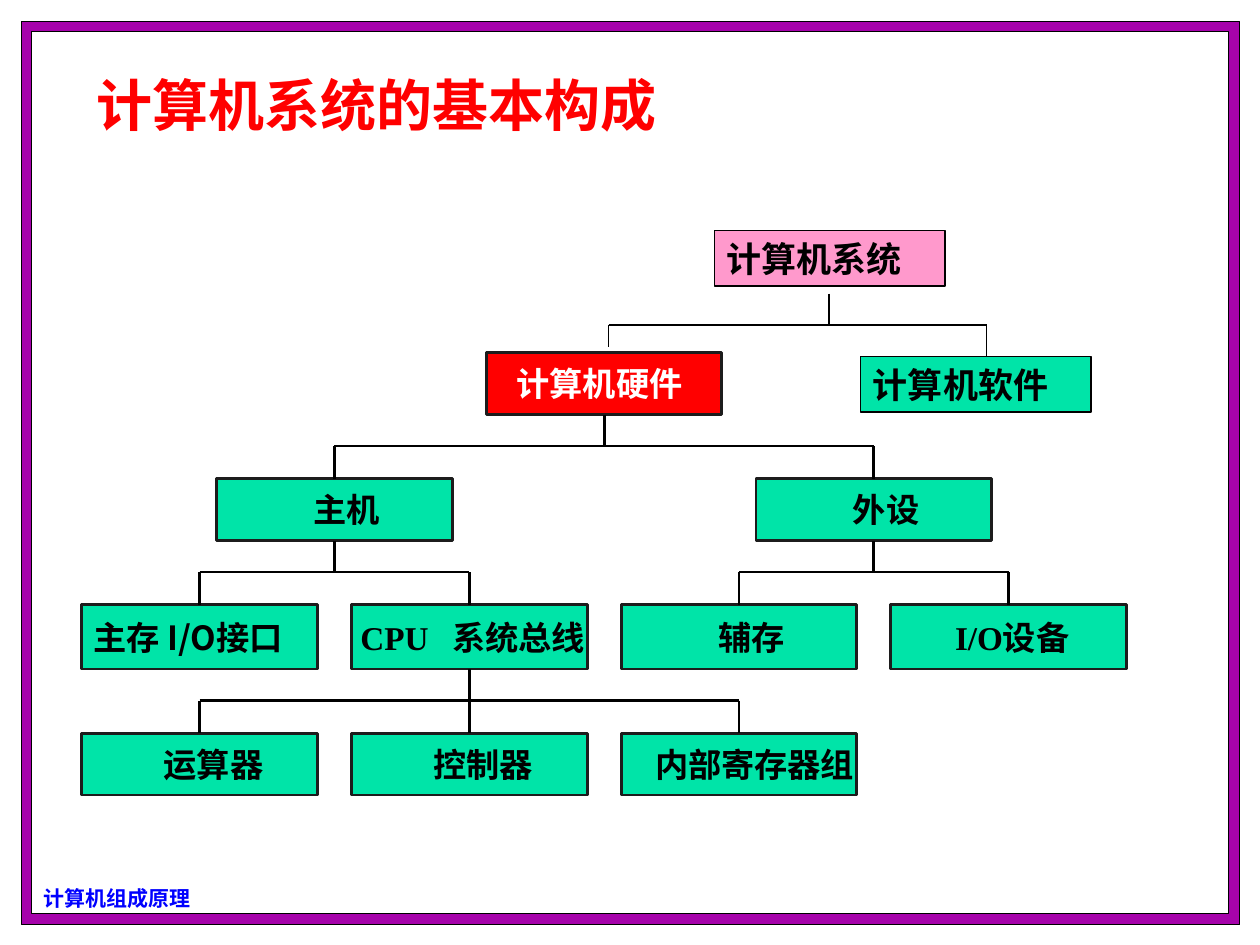
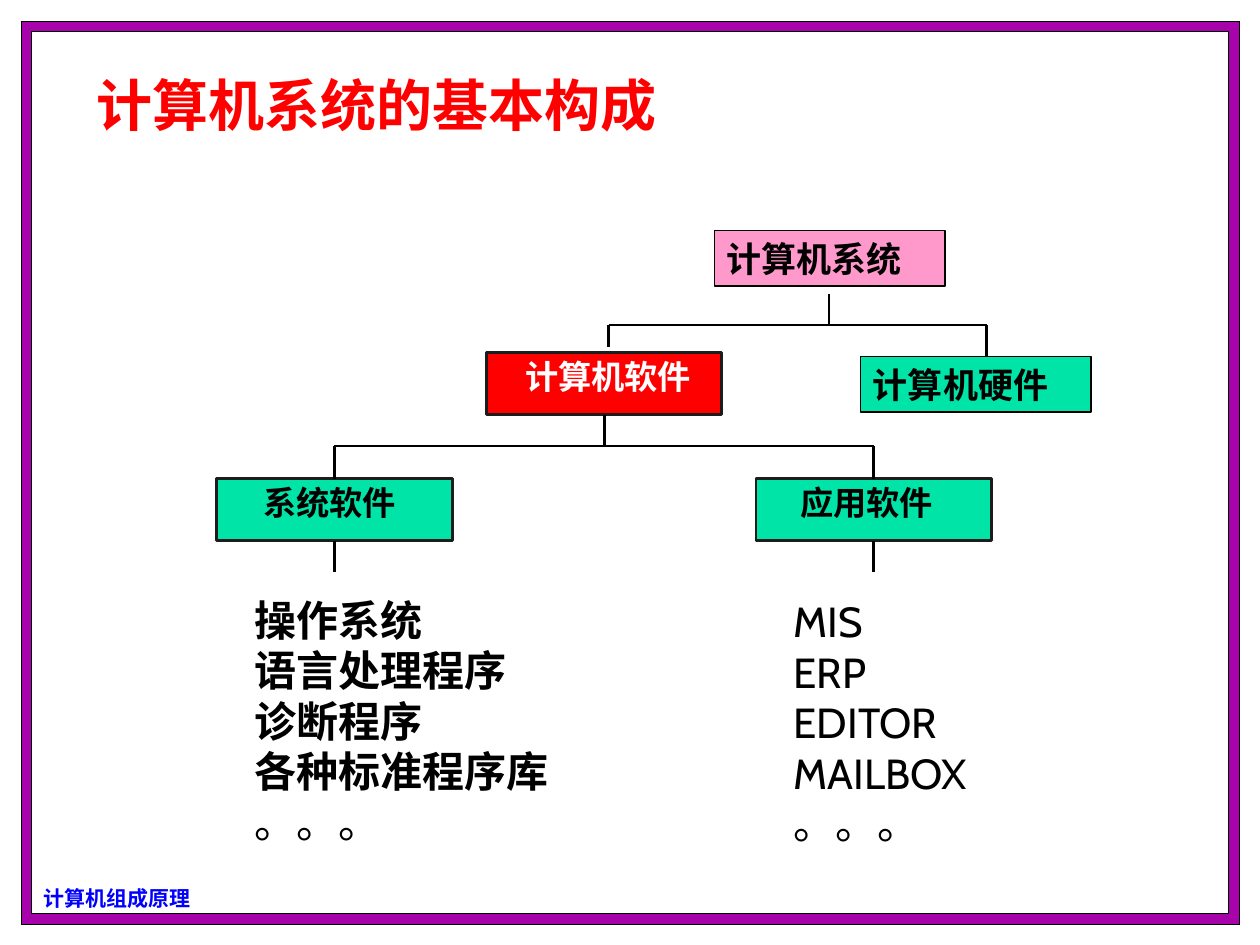
from dataclasses import dataclass

from lxml import etree
from pptx import Presentation
from pptx.dml.color import RGBColor as RGB
from pptx.enum.shapes import MSO_CONNECTOR as CONN, MSO_SHAPE as SHAPE
from pptx.enum.text import MSO_ANCHOR as ANCHOR, PP_ALIGN as ALIGN
from pptx.oxml.ns import qn
from pptx.util import Inches, Pt


@dataclass(frozen=True)
class Theme:
    purple: str = "A603AB"
    white: str = "FFFFFF"
    black: str = "000000"
    edge: str = "1C1C1C"
    red: str = "FF0000"
    blue: str = "0000FF"
    pink: str = "FF99CC"
    green: str = "00E4A8"
    cjk: str = "Noto Sans CJK SC"
    serif: str = "Times New Roman"
    narrow: str = "Arial Narrow"
    sans: str = "Cabin"
    title: int = 32
    items: int = 24
    top: int = 20
    node: int = 19
    footer: int = 12
    thin: float = 0.75
    thick: float = 1.62


T = Theme()
TOP, BOTTOM = 0, 2
COL_X, COL_STEP, NODE_W = 0.65, 1.07, 1.87
ROWS = [(2.8, 0.49), (3.8, 0.49), (4.8, 0.51), (5.82, 0.49)]


def add_text(slide, at, text="", *, fill=None, line=T.black, weight=T.thin, font=T.cjk,
             size=T.node, color=T.black, bold=True, inset=(0.1, 0.05), right=0,
             anchor=ANCHOR.TOP, tab=None):
    """Add a text box, or a rectangle when a fill is given; one paragraph per line."""
    at = [Inches(v) for v in at]
    if fill:
        sp = slide.shapes.add_shape(SHAPE.RECTANGLE, *at)
        sp.shadow.inherit = False
        sp.fill.solid()
        sp.fill.fore_color.rgb = RGB.from_string(fill)
        sp.line.color.rgb = RGB.from_string(line)
        sp.line.width = Pt(weight)
    else:
        sp = slide.shapes.add_textbox(*at)
    if not text:
        return sp
    tf = sp.text_frame
    tf.word_wrap = True
    tf.vertical_anchor = anchor
    tf.margin_left, tf.margin_right = Inches(inset[0]), Inches(right)
    tf.margin_top = tf.margin_bottom = Inches(inset[1])
    east_asian = T.cjk if font == T.serif else font
    for i, words in enumerate(text.split("\n")):
        p = tf.add_paragraph() if i else tf.paragraphs[0]
        p.alignment = ALIGN.LEFT
        if tab:
            tabs = etree.SubElement(p._p.get_or_add_pPr(), qn("a:tabLst"))
            etree.SubElement(tabs, qn("a:tab"), pos=str(Inches(tab)), algn="l")
        r = p.add_run()
        r.text = words
        r.font.name, r.font.size, r.font.bold = font, Pt(size), bold
        r.font.color.rgb = RGB.from_string(color)
        etree.SubElement(r._r.get_or_add_rPr(), qn("a:ea"), typeface=east_asian)
    return sp


def add_line(slide, x1, y1, x2, y2, weight=T.thick, begin=None, end=None):
    """Draw a line; begin joins a shape's bottom, end joins a shape's top."""
    cx = slide.shapes.add_connector(CONN.STRAIGHT, *[Inches(v) for v in (x1, y1, x2, y2)])
    cx.line.color.rgb = RGB.from_string(T.black)
    cx.line.width = Pt(weight)
    etree.SubElement(cx._element.spPr, qn("a:effectLst"))
    if begin is not None:
        cx.begin_connect(begin, BOTTOM)
    if end is not None:
        cx.end_connect(end, TOP)


# Nodes: text, column, row, text indent, further format
# Branches: parent and its children, as node numbers
hot = dict(fill=T.red, color=T.white)
SLIDES = [
    dict(
        other="计算机软件", fork=T.thin, anchor=ANCHOR.MIDDLE,
        nodes=[
            ("计算机硬件", 3, 0, 0.24, hot),
            ("主机", 1, 1, 0.77, {}),
            ("外设", 5, 1, 0.77, {}),
            ("主存 I/O接口", 0, 2, 0.09, {}),
            ("CPU\t系统总线", 2, 2, 0.07, dict(font=T.serif, tab=0.73)),
            ("辅存", 4, 2, 0.77, {}),
            ("I/O设备", 6, 2, 0.51, dict(font=T.serif)),
            ("运算器", 0, 3, 0.65, {}),
            ("控制器", 2, 3, 0.65, {}),
            ("内部寄存器组", 4, 3, 0.27, {}),
        ],
        branches={0: [1, 2], 1: [3, 4], 2: [5, 6], 4: [7, 8, 9]},
    ),
    dict(
        other="计算机硬件", fork=1.5, anchor=ANCHOR.TOP,
        nodes=[
            ("计算机软件", 3, 0, 0.31, hot),
            ("系统软件", 1, 1, 0.37, {}),
            ("应用软件", 5, 1, 0.35, {}),
        ],
        branches={0: [1, 2], 1: [], 2: []},
    ),
]

prs = Presentation()
prs.slide_width, prs.slide_height = Inches(10), Inches(7.5)

for content in SLIDES:
    s = prs.slides.add_slide(prs.slide_layouts[6])

    # Frame, footer and title
    add_text(s, (0.17, 0.17, 9.67, 7.17), fill=T.purple)
    add_text(s, (0.25, 0.25, 9.5, 7), fill=T.white)
    add_text(s, (0.25, 6.98, 1.5, 0.3), "计算机组成原理", size=T.footer, color=T.blue)
    add_text(s, (0.67, 0.51, 4.7, 0.64), "计算机系统的基本构成", size=T.title, color=T.red)

    # The whole system and its two halves
    for text, x, y, fill in [("计算机系统", 5.67, 1.83, T.pink),
                             (content["other"], 6.83, 2.83, T.green)]:
        add_text(s, (x, y, 1.83, 0.44), text, fill=fill, font=T.serif, size=T.top,
                 inset=(0.1, 0), anchor=ANCHOR.MIDDLE)
    for ends in [(4.83, 2.58, 7.83, 2.58), (6.58, 2.33, 6.58, 2.58),
                 (7.83, 2.58, 7.83, 2.83), (4.83, 2.58, 4.83, 2.75)]:
        add_line(s, *ends, weight=content["fork"])

    # Tree nodes
    nodes = []
    for text, col, row, indent, extra in content["nodes"]:
        y, h = ROWS[row]
        x = COL_X + col * COL_STEP
        style = dict(fill=T.green, line=T.edge, weight=T.thick) | extra
        sp = add_text(s, (x, y, NODE_W, h), text, inset=(indent, 0.03),
                      anchor=content["anchor"], **style)
        nodes.append((sp, x + NODE_W / 2, y, y + h))

    # Stem, bus and drops of each branch
    for parent, children in content["branches"].items():
        sp, x, _, bottom = nodes[parent]
        bus = bottom + 0.25
        add_line(s, x, bottom, x, bus, begin=sp)
        if children:
            add_line(s, nodes[children[0]][1], bus, nodes[children[-1]][1], bus)
        for child in children:
            child_sp, child_x, top, _ = nodes[child]
            add_line(s, child_x, bus, child_x, top, end=child_sp)

# Examples under the two kinds of software (s is the last slide)
system = add_text(s, (1.92, 4.67, 2.7, 2.1),
                  "操作系统\n语言处理程序\n诊断程序\n各种标准程序库\n。。。",
                  font=T.narrow, size=T.items)
dots = system.text_frame.paragraphs[-1].runs[0].font
dots.name, dots.bold = T.sans, False
add_text(s, (6.2, 4.68, 1.9, 2.1), "MIS\nERP\nEDITOR\nMAILBOX\n。。。",
         font=T.sans, size=T.items, bold=False)

prs.save("out.pptx")
